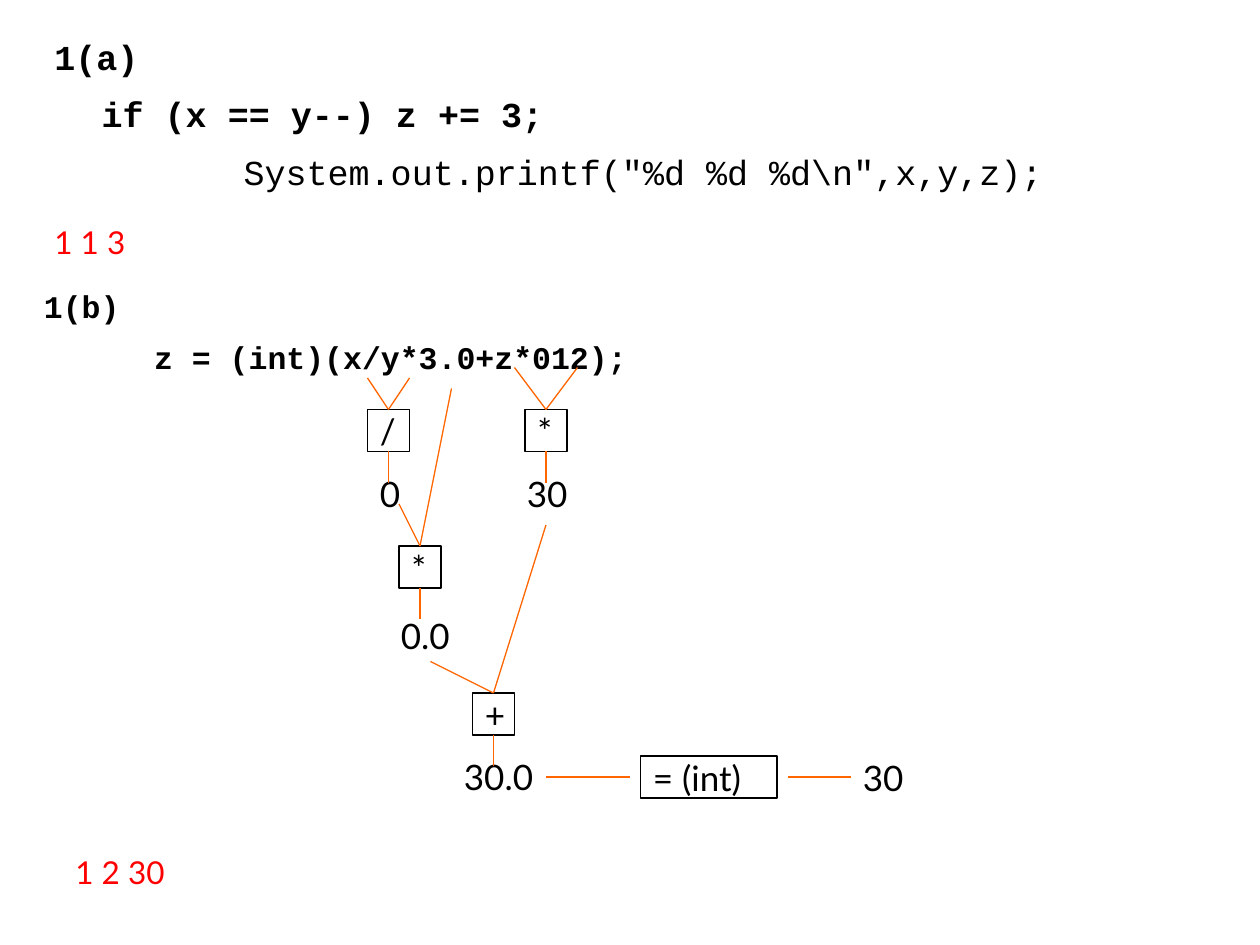
from pptx import Presentation
from pptx.dml.color import RGBColor
from pptx.enum.shapes import MSO_CONNECTOR, MSO_SHAPE
from pptx.enum.text import MSO_ANCHOR, PP_ALIGN
from pptx.oxml.ns import qn
from pptx.util import Pt
from lxml import etree

PX = 7620  # EMU per px, 120 px to the inch
BLACK = RGBColor(0, 0, 0)
RED = RGBColor(255, 0, 0)
ORANGE = RGBColor(255, 102, 0)
TOP, BOTTOM = 0, 2


class Sheet:
    code_font = "Courier New"
    text_font = "Lato"
    hanging = 45
    box_side = 40
    stem = 30

    def __init__(self, s):
        self.s = s

    def style(self, p, size, color=BLACK, font=None, bold=False):
        p.font.name = font or self.text_font
        p.font.size = Pt(size)
        p.font.bold = bold
        p.font.color.rgb = color

    def code(self, x, y, w, h, size, gap, lines):
        """Lines are (text, bold) pairs with a hanging indent."""
        tf = self.s.shapes.add_textbox(x * PX, y * PX, w * PX, h * PX).text_frame
        tf.word_wrap = True
        for i, (text, bold) in enumerate(lines):
            p = tf.add_paragraph() if i else tf.paragraphs[0]
            p.text = text
            p.line_spacing = 1.2
            if i:
                p.space_before = Pt(gap)
            pPr = p._p.get_or_add_pPr()
            pPr.set("marL", str(self.hanging * PX))
            pPr.set("indent", str(-self.hanging * PX))
            self.style(p, size, font=self.code_font, bold=bold)

    def fill_text(self, sp, text, size, color):
        tf = sp.text_frame
        tf.word_wrap = True
        tf.vertical_anchor = MSO_ANCHOR.MIDDLE
        p = tf.paragraphs[0]
        p.text = text
        p.alignment = PP_ALIGN.LEFT
        self.style(p, size, color)

    def label(self, x, y, w, h, text, size=20, color=BLACK):
        sp = self.s.shapes.add_textbox(x * PX, y * PX, w * PX, h * PX)
        self.fill_text(sp, text, size, color)

    def box(self, x, y, w, text):
        sp = self.s.shapes.add_shape(
            MSO_SHAPE.RECTANGLE, x * PX, y * PX, w * PX, self.box_side * PX)
        sp.shadow.inherit = False
        sp.fill.background()
        sp.line.color.rgb = BLACK
        sp.line.width = Pt(0.75)
        self.fill_text(sp, text, 20, BLACK)
        return sp

    def line(self, x1, y1, x2, y2):
        c = self.s.shapes.add_connector(
            MSO_CONNECTOR.STRAIGHT, x1 * PX, y1 * PX, x2 * PX, y2 * PX)
        c.line.color.rgb = ORANGE
        c.line.width = Pt(0.75)
        etree.SubElement(c._element.spPr, qn("a:effectLst"))
        return c

    def operator(self, x, y, symbol, inputs):
        """A square with lines from its operands and a stem to its result."""
        sp = self.box(x, y, self.box_side, symbol)
        mid, bottom = x + self.box_side // 2, y + self.box_side
        for x1, y1 in inputs:
            self.line(x1, y1, mid, y).end_connect(sp, TOP)
        self.line(mid, bottom, mid, bottom + self.stem).begin_connect(sp, BOTTOM)


def main():
    prs = Presentation()
    prs.slide_width, prs.slide_height = 1200 * PX, 900 * PX
    sheet = Sheet(prs.slides.add_slide(prs.slide_layouts[6]))

    sheet.code(40, 20, 1120, 160, 20, 4, [
        ("1(a)", True),
        ("\tif (x == y--) z += 3;", True),
        ('         System.out.printf("%d %d %d\\n",x,y,z);', False),
    ])
    sheet.label(40, 200, 570, 60, "1 1 3", 18, RED)
    sheet.code(30, 260, 1140, 130, 18, 3.6, [
        ("1(b)", True),
        ("\t\tz = (int)(x/y*3.0+z*012);", True),
    ])

    for result in (
        (350, 450, 30, 40, "0"),
        (370, 580, 110, 50, "0.0"),
        (490, 450, 80, 40, "30"),
        (430, 710, 90, 60, "30.0"),
        (810, 700, 110, 80, "30"),
    ):
        sheet.label(*result)

    sheet.operator(350, 390, "/", [(350, 360), (390, 360)])
    sheet.operator(380, 520, "*", [(430, 370), (380, 480)])
    sheet.operator(500, 390, "*", [(550, 350), (490, 350)])
    sheet.operator(450, 660, "+", [(520, 500), (410, 630)])

    sheet.box(610, 720, 130, "= (int)")
    sheet.line(600, 740, 520, 740)
    sheet.line(750, 740, 810, 740)
    sheet.label(60, 800, 570, 60, "1 2 30", 18, RED)

    prs.save("out.pptx")


if __name__ == "__main__":
    main()
